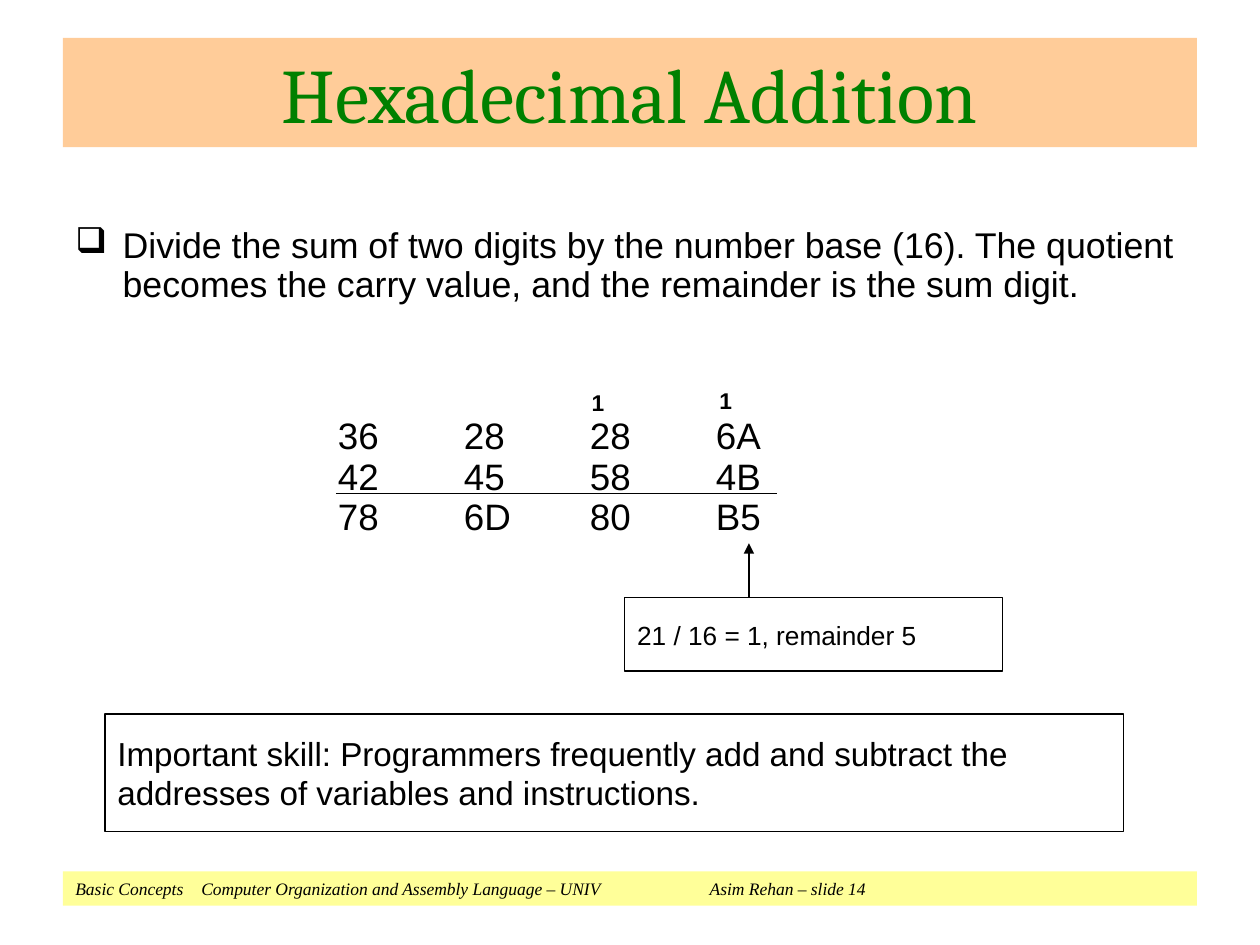
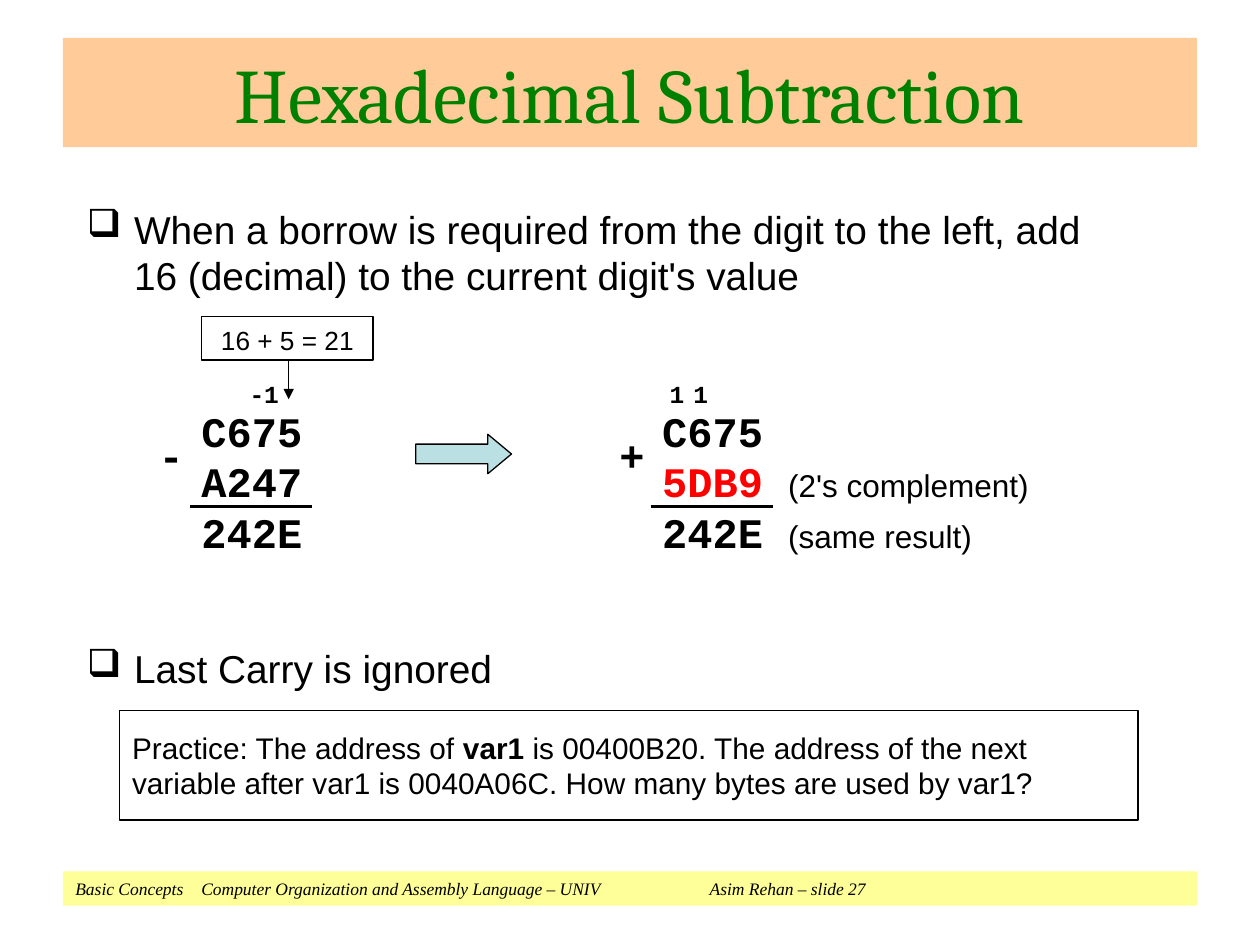
from pptx import Presentation
from pptx.dml.color import RGBColor
from pptx.enum import shapes, text
from pptx.oxml import parse_xml
from pptx.oxml.ns import nsdecls
from pptx.util import Pt

COLOURS = {
    "title": "008000",
    "title_band": "FFCC99",
    "footer_band": "FFFF99",
    "ink": "000000",
    "paper": "FFFFFF",
    "arrow": "BBE0E3",
    "highlight": "FF0000",
}
BODY, MONO = "Arial", "Courier New"
LEFT, CENTRE = text.PP_ALIGN.LEFT, text.PP_ALIGN.CENTER
TOP, MIDDLE = text.MSO_ANCHOR.TOP, text.MSO_ANCHOR.MIDDLE
TIGHT, ROOMY = (7.2, 3.6), (7.2, 10.8)  # horizontal and vertical text margins
INCH_STOPS = (72, 144, 216)


def colour(name):
    return RGBColor.from_string(COLOURS[name])


def add_xml(parent, markup):
    tag, rest = markup.split(" ", 1) if " " in markup else (markup, "")
    parent.append(parse_xml(f"<a:{tag} {nsdecls('a')} {rest}"))


# Text: a line is a string, or a list of (string, style changes) pairs
def write(shape, lines, size, font=BODY, ink="ink", bold=False, italic=False,
          align=LEFT, anchor=TOP, margins=ROOMY, spacing=None, before=None):
    frame = shape.text_frame
    frame.word_wrap = True
    frame.vertical_anchor = anchor
    frame.margin_left = frame.margin_right = Pt(margins[0])
    frame.margin_top = frame.margin_bottom = Pt(margins[1])
    base = {"size": size, "font": font, "ink": ink, "bold": bold, "italic": italic}
    for index, line in enumerate(lines):
        para = frame.add_paragraph() if index else frame.paragraphs[0]
        para.alignment = align
        para.line_spacing = spacing
        para.space_before = Pt(before) if before else None
        for words, changes in [(line, {})] if isinstance(line, str) else line:
            style = {**base, **changes}
            span = para.add_run()
            span.text = words
            span.font.name = style["font"]
            span.font.size = Pt(style["size"])
            span.font.bold = style["bold"]
            span.font.italic = style["italic"]
            span.font.color.rgb = colour(style["ink"])
    return frame.paragraphs


def add_tabs(para, stops):
    tabs = "".join(f'<a:tab pos="{Pt(stop)}" algn="l"/>' for stop in stops)
    add_xml(para._p.get_or_add_pPr(), f"tabLst >{tabs}</a:tabLst>")


def add_bullet(para):
    properties = para._p.get_or_add_pPr()
    properties.set("marL", str(Pt(27)))
    properties.set("indent", str(Pt(-27)))
    add_xml(properties, f'buClr ><a:srgbClr val="{COLOURS["ink"]}"/></a:buClr>')
    add_xml(properties, 'buChar char="❑"/>')


# Shapes
def add_box(page, box, fill=None, outlined=True, kind=shapes.MSO_SHAPE.RECTANGLE):
    shape = page.shapes.add_shape(kind, *map(Pt, box))
    shape.shadow.inherit = False
    if fill:
        shape.fill.solid()
        shape.fill.fore_color.rgb = colour(fill)
    else:
        shape.fill.background()
    if outlined:
        shape.line.color.rgb = colour("ink")
        shape.line.width = Pt(0.75)
    else:
        shape.line.fill.background()
    return shape


def add_label(page, box, lines, size, **style):
    label = page.shapes.add_textbox(*map(Pt, box))
    return write(label, lines, size, **style)


def add_line(page, start, end, width=0.75, arrow=False):
    line = page.shapes.add_connector(shapes.MSO_CONNECTOR.STRAIGHT, *map(Pt, start + end))
    line.line.color.rgb = colour("ink")
    line.line.width = Pt(width)
    if arrow:
        add_xml(line.line._get_or_add_ln(), 'tailEnd type="triangle"/>')
    add_xml(line._element.spPr, "effectLst />")


# Title band and footer band
def add_page(deck, title, number):
    page = deck.slides.add_slide(deck.slide_layouts[6])
    footer = add_box(page, (36, 498, 648, 19.5), "footer_band", outlined=False)
    words = ("Basic Concepts\tComputer Organization and Assembly Language – UNIV"
             f"\tAsim Rehan – slide {number}")
    paras = write(footer, [words], 10, "Times New Roman", italic=True, margins=TIGHT)
    add_tabs(paras[0], (72, 362.5))
    band = add_box(page, (36, 21.6, 648, 62.6), "title_band", outlined=False)
    write(band, [title], 44, "Cambria", "title", align=CENTRE, anchor=MIDDLE,
          margins=TIGHT)
    return page


def add_bullets(page, box, lines, size, **style):
    for para in add_label(page, box, lines, size, margins=TIGHT, **style):
        add_bullet(para)


# Four column additions with carries and a note on the last one
def add_column_sums(page, left, top):
    rows = ["36\t28\t28\t6A", "42\t45\t58\t4B", "78\t6D\t80\tB5"]
    paras = add_label(page, (left, top + 25.6, 306, 78.5), rows, 21,
                      spacing=0.4, before=13.1)
    for para in paras:
        add_tabs(para, INCH_STOPS)
    add_line(page, (left + 6, top + 69.5), (left + 258, top + 69.5))
    for x, y in ((145, 2), (218, 0.5)):
        add_label(page, (left + x, top + y, 22.5, 37.5), ["1"], 13, bold=True)
    add_line(page, (left + 242, top + 129), (left + 242, top + 98), arrow=True)
    note = add_box(page, (left + 171, top + 129, 216, 42))
    write(note, ["21 / 16 = 1, remainder 5"], 15, spacing=1.1)


# One hexadecimal calculation: operator, rows, rule and carries
def add_calculation(page, left, top, operator, rows, carries):
    style = {"font": MONO, "bold": True}
    add_label(page, (left, top, 240, 108), rows, 24, **style)
    add_label(page, (left - 24.5, top + 13.7, 24, 50), [operator], 24, **style)
    add_line(page, (left + 0.7, top + 68.4), (left + 70.4, top + 68.4), 1.5)
    for offset, carry in carries:
        add_label(page, (left + offset, top - 4.3, 18, 16.6), [carry], 14,
                  align=CENTRE, anchor=MIDDLE, margins=(0, 0), **style)


# Subtraction beside the same result by adding the complement
def add_borrow_example(page, left, top):
    add_line(page, (left + 57, top + 22), (left + 57, top + 47.5), arrow=True)
    note = add_box(page, (left + 7.2, top, 98, 25), "paper")
    write(note, ["16 + 5 = 21"], 15, align=CENTRE, anchor=MIDDLE,
          margins=(7.2, 2.9), spacing=1.1)
    add_calculation(page, left, top + 40.3, "-", ["C675", "A247", "242E"],
                    [(34, "-1")])
    arrow = add_box(page, (left + 129.6, top + 67.5, 54.7, 22.5), "arrow",
                    kind=shapes.MSO_SHAPE.RIGHT_ARROW)
    arrow.adjustments[1] = 0.6
    remark = {"size": 18, "font": BODY, "ink": "ink", "bold": False}
    rows = ["C675",
            [("5DB9 ", {"ink": "highlight"}), ("(2's complement)", remark)],
            [("242E ", {}), ("(same result)", remark)]]
    add_calculation(page, left + 263.3, top + 40.3, "+", rows,
                    [(6.5, "1"), (20.2, "1")])


def build_addition(deck):
    page = add_page(deck, "Hexadecimal Addition", 14)
    add_bullets(page, (36, 126.7, 648, 49.7), [
        "Divide the sum of two digits by the number base (16). The quotient "
        "becomes the carry value, and the remainder is the sum digit."],
        20.4, spacing=0.9)
    add_column_sums(page, 186, 212.4)
    skill = add_box(page, (60, 408, 582, 67))
    write(skill, ["Important skill: Programmers frequently add and subtract the "
                  "addresses of variables and instructions."], 19)


def build_subtraction(deck):
    page = add_page(deck, "Hexadecimal Subtraction", 27)
    add_bullets(page, (42.5, 113.8, 612.7, 275), [
        "When a borrow is required from the digit to the left, add 16 (decimal) "
        "to the current digit's value",
        "Last Carry is ignored"], 22.2, before=198)
    practice = add_box(page, (68.4, 406, 582, 62.6))
    write(practice, [[
        ("Practice: The address of ", {}),
        ("var1", {"bold": True}),
        (" is 00400B20. The address of the next variable after var1 is 0040A06C. "
         "How many bytes are used by var1?", {})]], 17)
    add_borrow_example(page, 108, 180.7)


def main():
    deck = Presentation()
    deck.slide_width, deck.slide_height = Pt(720), Pt(540)
    build_addition(deck)
    build_subtraction(deck)
    deck.save("out.pptx")


if __name__ == "__main__":
    main()
